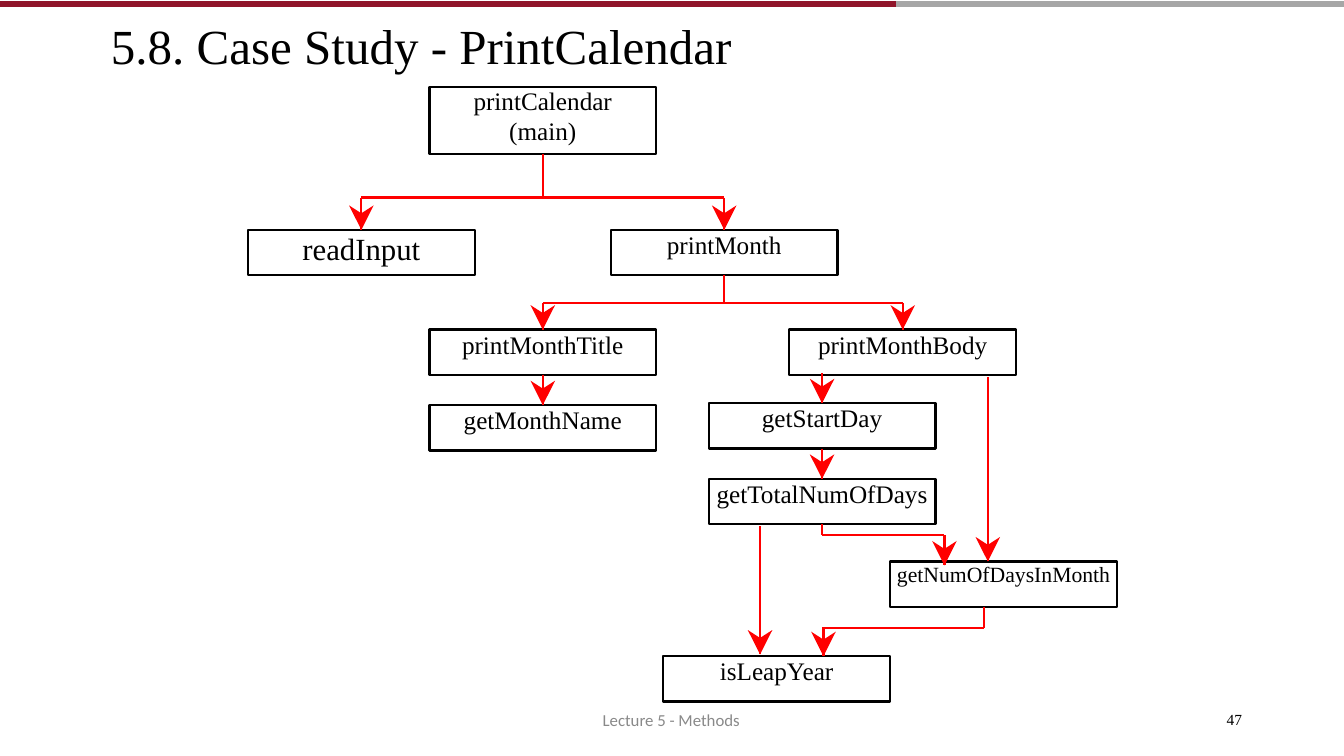
from lxml.etree import SubElement
from pptx import Presentation
from pptx.dml.color import RGBColor
from pptx.enum.shapes import MSO_CONNECTOR, MSO_SHAPE
from pptx.enum.text import MSO_ANCHOR, PP_ALIGN
from pptx.oxml.ns import qn
from pptx.util import Pt

HUES = {"ink": "000000", "arrow": "FF0000", "wine": "90152A",
        "grey": "A6A6A6", "foot": "898989"}
SERIF = "Times New Roman"

deck = Presentation()
deck.slide_width, deck.slide_height = Pt(960), Pt(540)
slide = deck.slides.add_slide(deck.slide_layouts[6])
shapes = slide.shapes


def write(shape, text, size, font, hue, gaps, align):
    frame = shape.text_frame
    frame.text = text
    frame.word_wrap = True
    frame.vertical_anchor = MSO_ANCHOR.TOP
    frame.margin_left = frame.margin_right = 0
    frame.margin_top = frame.margin_bottom = 0
    for para, gap in zip(frame.paragraphs, gaps):
        para.alignment = align
        if gap:
            para.line_spacing = Pt(gap)
        for run in para.runs:
            run.font.size = Pt(size)
            run.font.name = font
            run.font.color.rgb = RGBColor.from_string(HUES[hue])


def link(start, end, hue="arrow", width=1.62):
    ends = []
    for spot, side in ((start, 2), (end, 0)):
        if isinstance(spot, str):
            box = boxes[spot]
            spot = ((box.left + box.width / 2) / Pt(1),
                    (box.top + (box.height if side else 0)) / Pt(1))
        ends += [Pt(spot[0]), Pt(spot[1])]
    line = shapes.add_connector(MSO_CONNECTOR.STRAIGHT, *ends)
    if isinstance(start, str):
        line.begin_connect(boxes[start], 2)
    if isinstance(end, str):
        line.end_connect(boxes[end], 0)
    line.line.color.rgb = RGBColor.from_string(HUES[hue])
    line.line.width = Pt(width)
    SubElement(line._element.spPr, qn("a:effectLst"))
    return line


boxes = {}
for text, left, top, high, size, gaps in (
    ("printCalendar\n(main)", 306.7, 61.9, 48.2, 18, (20.4, 21.4)),
    ("readInput", 177.1, 164.2, 32.4, 22, (25.9,)),
    ("printMonth", 436.3, 164.2, 32.4, 18, (21.1,)),
    ("printMonthTitle", 306.7, 235.4, 32.4, 18, (21.1,)),
    ("printMonthBody", 563.8, 235.4, 32.4, 18, (21.1,)),
    ("getMonthName", 306.7, 289.4, 32.4, 18, (21.1,)),
    ("getStartDay", 506.2, 288, 32.4, 18, (21.1,)),
    ("getTotalNumOfDays", 506.2, 342, 32.4, 18, (21.1,)),
    ("getNumOfDaysInMonth", 635.8, 401, 32.4, 15.5, (18.2,)),
    ("isLeapYear", 473.8, 468.7, 32.4, 18, (21.1,)),
):
    box = shapes.add_shape(MSO_SHAPE.RECTANGLE, Pt(left), Pt(top), Pt(162), Pt(high))
    box.shadow.inherit = False
    box.fill.background()
    box.line.color.rgb = RGBColor.from_string(HUES["ink"])
    box.line.width = Pt(1.62)
    write(box, text, size, SERIF, "ink", gaps, PP_ALIGN.CENTER)
    boxes[text.split("\n")[0]] = box

for start, end in (
    ("printCalendar", (387.7, 141.1)),
    ((258.1, 141.1), (517.3, 141.1)),
    ("printMonth", (517.3, 216.7)),
    ((387.7, 216.7), (644.8, 216.7)),
    ("getTotalNumOfDays", (587.2, 382.3)),
    ((587.2, 382.3), (674.6, 382.3)),
    ((702.7, 433.4), (702.7, 448.6)),
    ((587.2, 448.6), (702.7, 448.6)),
):
    link(start, end)

for start, end in (
    ((258.1, 141.1), "readInput"),
    ((517.3, 141.1), "printMonth"),
    ((387.7, 216.7), "printMonthTitle"),
    ((644.8, 216.7), "printMonthBody"),
    ("printMonthTitle", "getMonthName"),
    ((587.2, 266.4), "getStartDay"),
    ("getStartDay", "getTotalNumOfDays"),
    ((674.6, 382.3), (674.6, 403.9)),
    ((705.6, 269.3), (705.6, 401)),
    ((542.9, 375.8), (542.9, 467.5)),
    ((588.2, 448.6), (588.2, 468.7)),
):
    shaft = link(start, end)
    x, y = shaft.end_x, shaft.end_y
    pen = shapes.build_freeform(x, y)
    pen.add_line_segments([(x - Pt(8.8), y - Pt(17.5)), (x, y - Pt(11.8)),
                           (x + Pt(8.8), y - Pt(17.5))], close=True)
    head = pen.convert_to_shape()
    head.shadow.inherit = False
    head.fill.solid()
    head.fill.fore_color.rgb = RGBColor.from_string(HUES["arrow"])
    head.line.fill.background()

link((640, 2.9), (960, 2.9), "grey", 4)
link((0, 2.9), (640, 2.9), "wine", 4)

for text, left, top, wide, high, size, font, hue, gap in (
    ("5.8. Case Study - PrintCalendar", 79.2, 11.2, 517, 43, 35, SERIF, "ink", None),
    ("Lecture 5 - Methods", 430.5, 507.2, 110, 16, 12, "Calibri", "foot", None),
    ("47", 876.2, 507.6, 17, 14, 11, SERIF, "ink", 13),
):
    note = shapes.add_textbox(Pt(left), Pt(top), Pt(wide), Pt(high))
    write(note, text, size, font, hue, (gap,), PP_ALIGN.LEFT)

deck.save("out.pptx")
